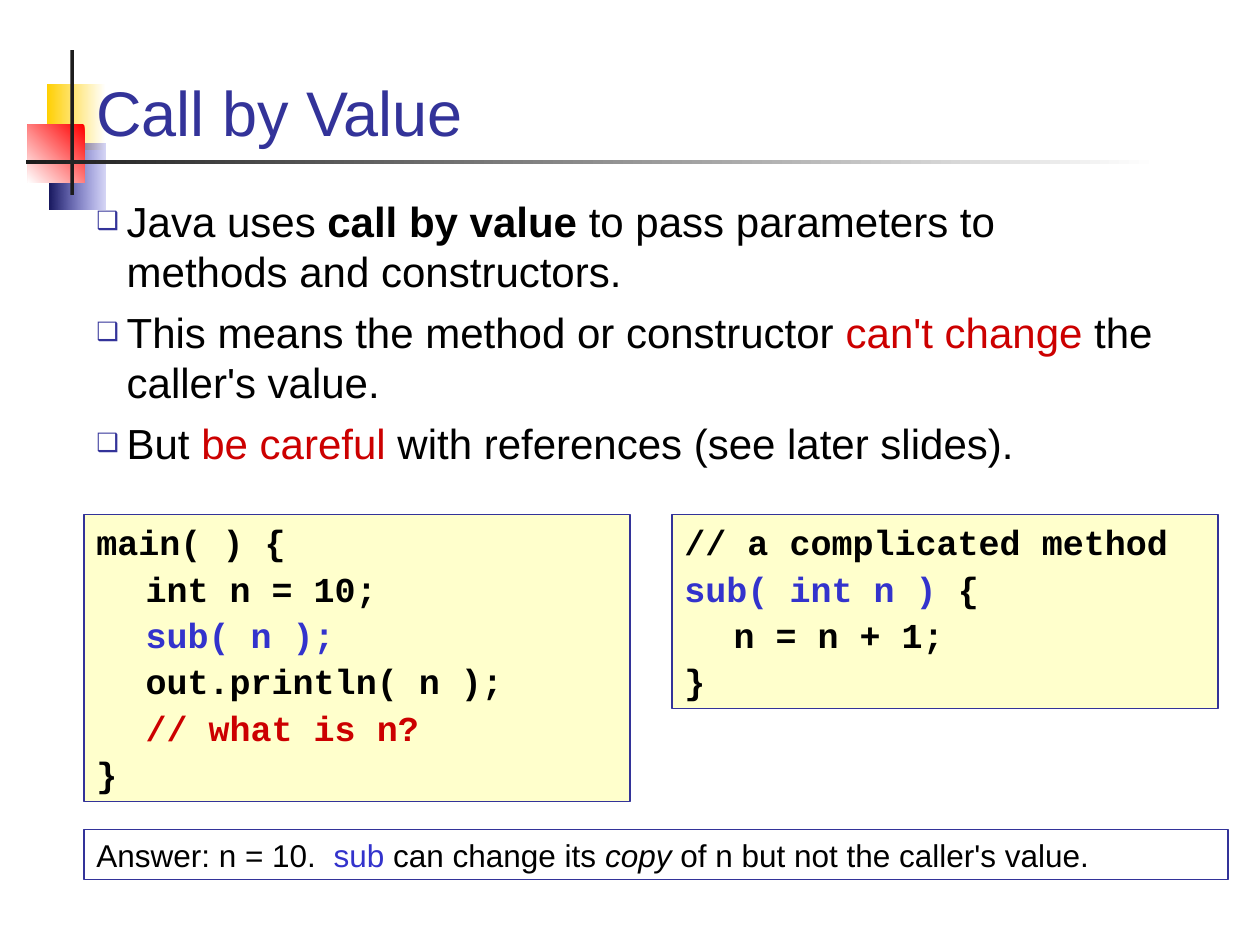
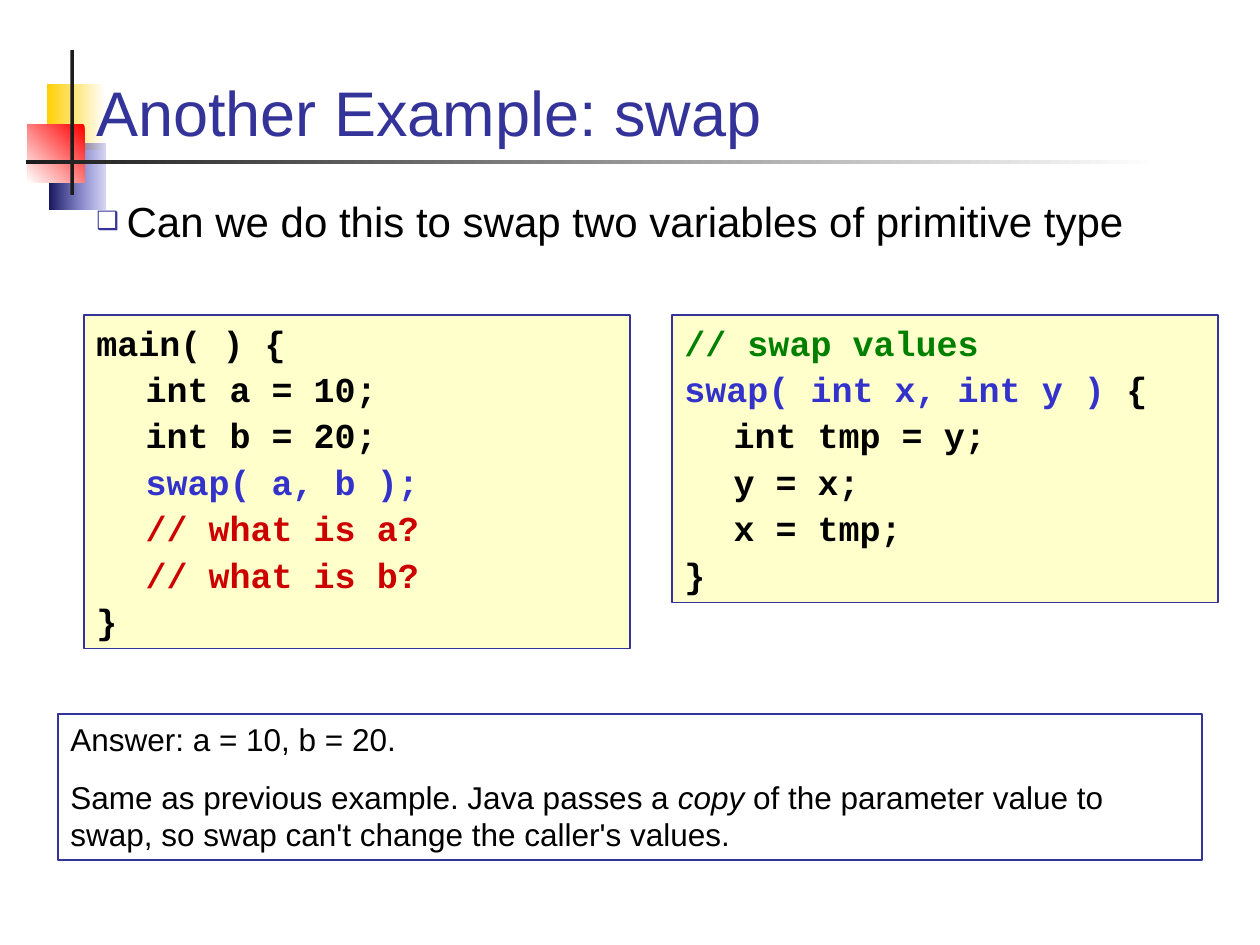
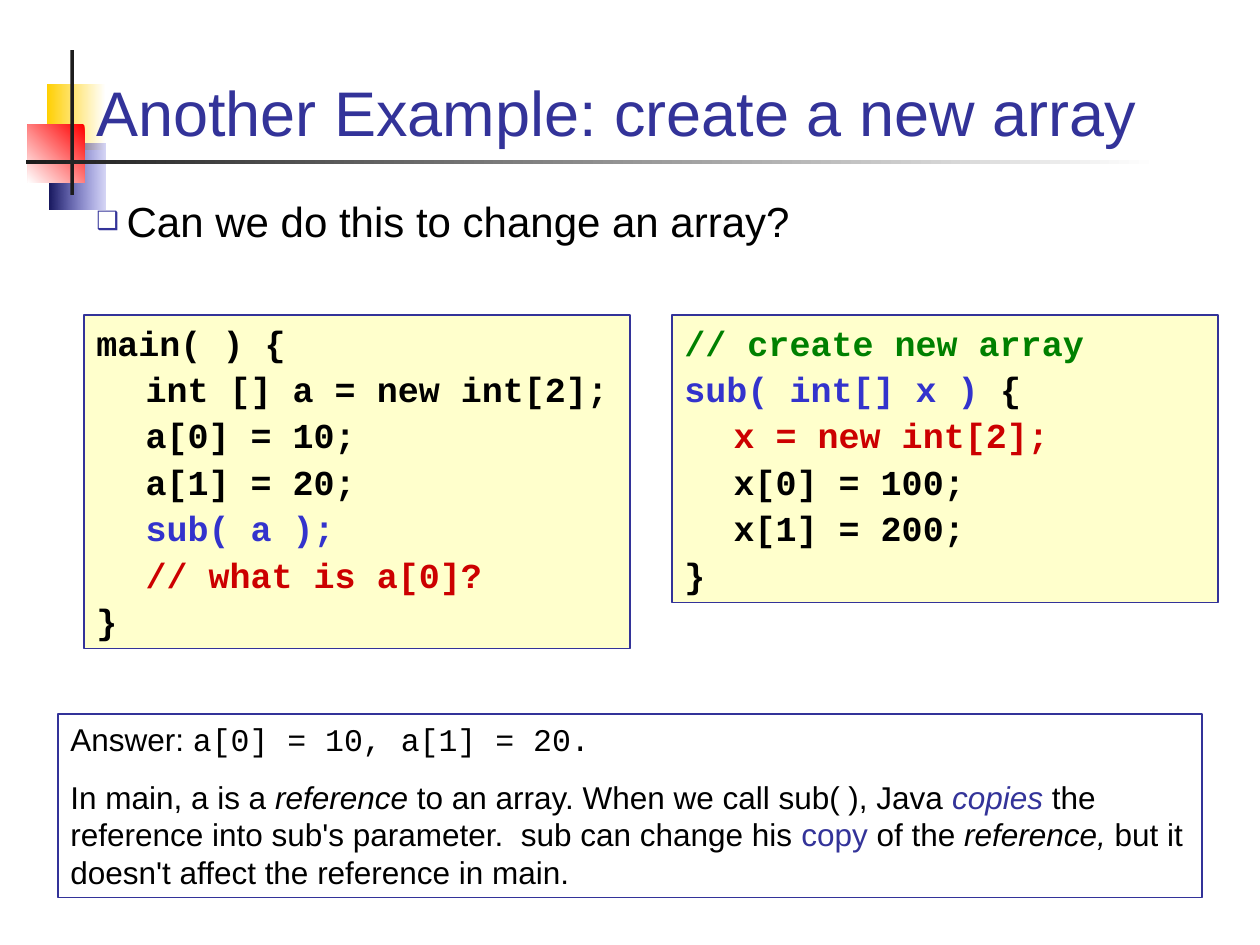
"""Build three slides on how Java passes parameters by value."""
from lxml import etree
from pptx import Presentation
from pptx.dml.color import RGBColor
from pptx.enum.shapes import MSO_SHAPE
from pptx.enum.text import MSO_ANCHOR, PP_ALIGN
from pptx.oxml.ns import qn
from pptx.util import Inches, Pt

RECTANGLE = MSO_SHAPE.RECTANGLE
LEFT, TOP, BOTTOM = PP_ALIGN.LEFT, MSO_ANCHOR.TOP, MSO_ANCHOR.BOTTOM
SLIDE_W, SLIDE_H = 10, 7.5
COL, ROW = SLIDE_W / 30, SLIDE_H / 90
NAVY, BLACK, CREAM, INK = "333399", "000000", "FFFFCC", "1C1C1C"
CALL, WARN, NOTE = {"color": "3333CC"}, {"color": "CC0000"}, {"color": "008000"}
BOLD, ITALIC, ACCENT = {"bold": True}, {"italic": True}, {"color": NAVY}
MONO = {"name": "Courier New"}

TITLE = {"font": {"name": "Arial", "size": Pt(36), "color": NAVY}, "gap": 0, "anchor": BOTTOM}
BODY = {"font": {"name": "Arial", "size": Pt(24), "color": BLACK}, "gap": 6, "bullet": "❑"}
CODE = {"font": {"name": "Courier New", "size": Pt(20), "color": BLACK, "bold": True},
        "gap": 2.5, "fill": CREAM, "line": NAVY, "tab": 0.39}
ANSWER = {"font": {"name": "Arial", "size": Pt(18), "color": BLACK}, "gap": 11.2, "line": NAVY}

ORNAMENTS = [
    ((0.37, 0.67, 0.47, 0.52), ("FFFFFF", "FFCF01"), 180, None),
    ((0.39, 1.14, 0.45, 0.52), ("3333CC", "17175E"), 180, 20),
    ((0.22, 0.99, 0.45, 0.46), ("FF0000", "FFFFFF"), 225, None),
    ((0.56, 0.4, 0.03, 1.15), (INK, INK), 180, None),
    ((0.21, 1.27, 8.99, 0.03), ("FFFFFF", INK), 180, None),
]

LESSONS = [
    {
        "title": "Call by Value",
        "body": [
            ["Java uses ", ("call by value", BOLD),
             " to pass parameters to methods and constructors."],
            ["This means the method or constructor ", ("can't change", WARN),
             " the caller's value."],
            ["But ", ("be careful", WARN), " with references (see later slides)."],
        ],
        "body_rows": 28,
        "code_row": 49,
        "caller": [["main( ) {"], ["\tint n = 10;"], ["\t", ("sub( n );", CALL)],
                   ["\tout.println( n );"], ["\t", ("// what is n?", WARN)], ["}"]],
        "method": [["// a complicated method"], [("sub( int n )", CALL), " {"],
                   ["\tn = n + 1;"], ["}"]],
        "answer_at": (2 * COL, 79 * ROW, 0.4),
        "answer": [["Answer: n = 10.  ", ("sub", CALL), " can change its ", ("copy", ITALIC),
                    " of n but not the caller's value."]],
    },
    {
        "title": "Another Example: swap",
        "body": [["Can we do this to swap two variables of primitive type"]],
        "body_rows": 11,
        "code_row": 30,
        "caller": [["main( ) {"], ["\tint a = 10;"], ["\tint b = 20;"],
                   ["\t", ("swap( a, b );", CALL)], ["\t", ("// what is a?", WARN)],
                   ["\t", ("// what is b?", WARN)], ["}"]],
        "method": [[("// swap values", NOTE)], [("swap( int x, int y )", CALL), " {"],
                   ["\tint tmp = y;"], ["\ty = x;"], ["\tx = tmp;"], ["}"]],
        "answer_at": (0.46, 68 * ROW, 1.16),
        "answer": [
            ["Answer: a = 10, b = 20."],
            ["Same as previous example. Java passes a ", ("copy", ITALIC),
             " of the parameter value to swap, so swap can't change the caller's values."],
        ],
    },
    {
        "title": "Another Example: create a new array",
        "body": [["Can we do this to change an array?"]],
        "body_rows": 11,
        "code_row": 30,
        "caller": [["main( ) {"], ["\tint [] a = new int[2];"], ["\ta[0] = 10;"],
                   ["\ta[1] = 20;"], ["\t", ("sub( a );", CALL)],
                   ["\t", ("// what is a[0]?", WARN)], ["}"]],
        "method": [[("// create new array", NOTE)], [("sub( int[] x )", CALL), " {"],
                   ["\t", ("x = new int[2];", WARN)], ["\tx[0] = 100;"],
                   ["\tx[1] = 200;"], ["}"]],
        "answer_at": (0.46, 68 * ROW, 1.46),
        "answer": [
            ["Answer: ", ("a[0] = 10, a[1] = 20.", MONO)],
            ["In main, a is a ", ("reference", ITALIC),
             " to an array. When we call sub( ), Java ", ("copies", {**ACCENT, **ITALIC}),
             " the reference into sub's parameter.  sub can change his ", ("copy", ACCENT),
             " of the ", ("reference,", ITALIC),
             " but it doesn't affect the reference in main."],
        ],
    },
]


def paint(color_format, hex_color):
    color_format.rgb = RGBColor.from_string(hex_color)


def add_text(slide, area, paragraphs, style):
    area = [Inches(length) for length in area]
    if "line" in style:
        box = slide.shapes.add_shape(RECTANGLE, *area)
        box.shadow.inherit = False
        paint(box.line.color, style["line"])
        box.line.width = Pt(0.75)
    else:
        box = slide.shapes.add_textbox(*area)
    if "fill" in style:
        box.fill.solid()
        paint(box.fill.fore_color, style["fill"])
    else:
        box.fill.background()
    frame = box.text_frame
    frame.word_wrap = True
    frame.vertical_anchor = style.get("anchor", TOP)
    for index, runs in enumerate(paragraphs):
        paragraph = frame.paragraphs[0] if index == 0 else frame.add_paragraph()
        paragraph.alignment = LEFT
        paragraph.space_before = Pt(style["gap"] if index else 0)
        properties = paragraph._p.get_or_add_pPr()
        if "bullet" in style:
            hang = Inches(0.24)
            properties.set("marL", str(hang))
            properties.set("indent", str(-hang))
            bullet_color = etree.SubElement(properties, qn("a:buClr"))
            etree.SubElement(bullet_color, qn("a:srgbClr"), val=NAVY)
            etree.SubElement(properties, qn("a:buSzPct"), val="60000")
            etree.SubElement(properties, qn("a:buFont"), typeface="Arial")
            etree.SubElement(properties, qn("a:buChar"), char=style["bullet"])
        if "tab" in style:
            tabs = etree.SubElement(properties, qn("a:tabLst"))
            etree.SubElement(tabs, qn("a:tab"), pos=str(Inches(style["tab"])), algn="l")
        for piece in runs:
            words, changes = (piece, {}) if isinstance(piece, str) else piece
            run = paragraph.add_run()
            run.text = words
            for key, value in {**style["font"], **changes}.items():
                if key == "color":
                    paint(run.font.color, value)
                else:
                    setattr(run.font, key, value)


deck = Presentation()
deck.slide_width, deck.slide_height = Inches(SLIDE_W), Inches(SLIDE_H)

for lesson in LESSONS:
    slide = deck.slides.add_slide(deck.slide_layouts[6])
    for area, colors, angle, opacity in ORNAMENTS:
        ornament = slide.shapes.add_shape(RECTANGLE, *[Inches(length) for length in area])
        ornament.shadow.inherit = False
        ornament.line.fill.background()
        ornament.fill.gradient()
        ornament.fill.gradient_angle = angle
        for stop, position, color in zip(ornament.fill.gradient_stops, (0, 1), colors):
            stop.position = position
            paint(stop.color, color)
        if opacity:
            first_color = next(ornament._element.spPr.iter(qn("a:srgbClr")))
            etree.SubElement(first_color, qn("a:alpha"), val=str(opacity * 1000))

    add_text(slide, (2 * COL, 0.28, 26 * COL, 0.95), [[lesson["title"]]], TITLE)
    add_text(slide, (2 * COL, 18 * ROW, 26 * COL, lesson["body_rows"] * ROW),
             lesson["body"], BODY)
    for column, part in ((2, "caller"), (16, "method")):
        height = 0.06 + 0.37 * len(lesson[part])
        add_text(slide, (column * COL, lesson["code_row"] * ROW, 13 * COL, height),
                 lesson[part], CODE)
    left, top, height = lesson["answer_at"]
    add_text(slide, (left, top, 9.08, height), lesson["answer"], ANSWER)

deck.save("out.pptx")
